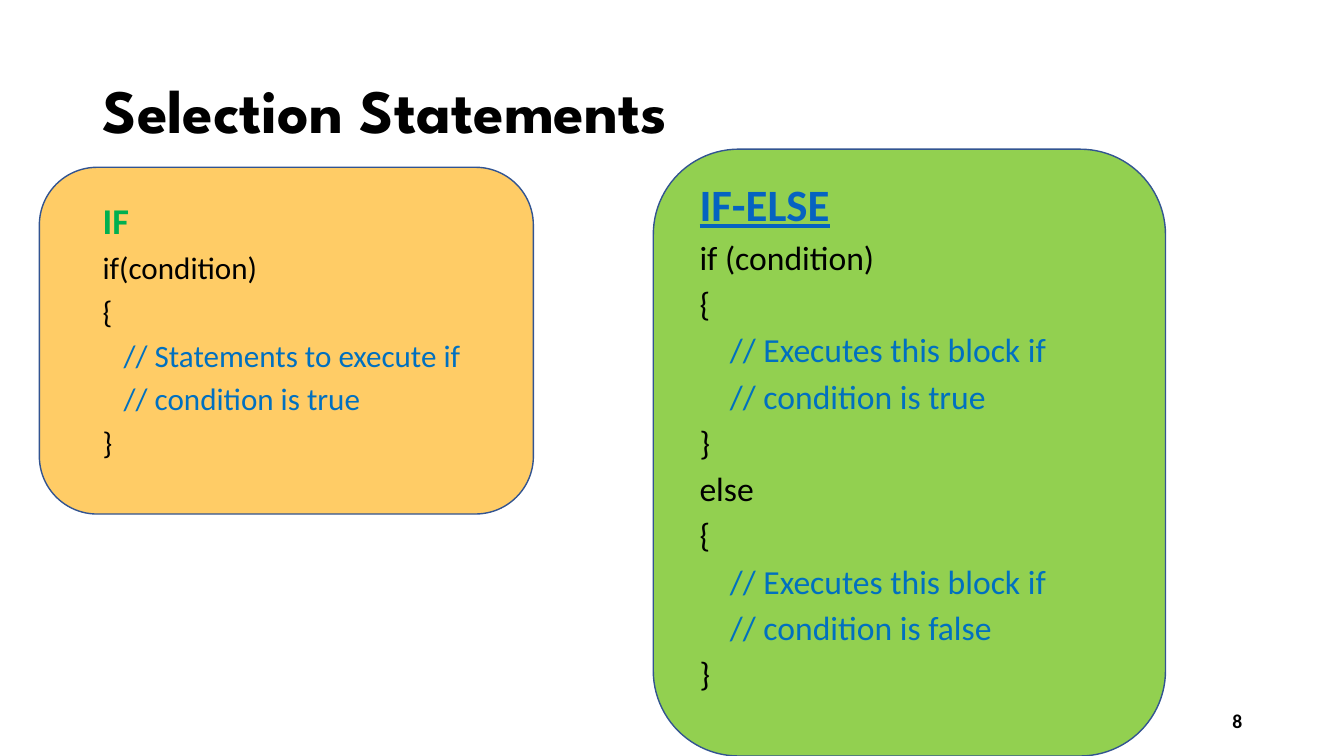
"""Build the slide that compares the if and if-else statements."""
from pptx import Presentation
from pptx.dml.color import RGBColor
from pptx.enum.shapes import MSO_SHAPE
from pptx.enum.text import MSO_ANCHOR, PP_ALIGN
from pptx.util import Inches, Pt

WIDE, HIGH = Inches(13.33), Inches(7.5)
COLORS = {
    "amber": "FFCC66",
    "lime": "92D050",
    "edge": "325491",
    "ink": "000000",
    "green": "00B050",
    "link": "0563C1",
    "note": "0070C0",
}
IF_CODE = [
    "if(condition)",
    "{",
    "   // Statements to execute if",
    "   // condition is true",
    "}",
]
ELSE_CODE = [
    "if (condition)",
    "{",
    "    // Executes this block if",
    "    // condition is true",
    "}",
    "else",
    "{",
    "    // Executes this block if",
    "    // condition is false",
    "}",
]


def color(name):
    """Return a named colour."""
    return RGBColor.from_string(COLORS[name])


def place(left, top, width, height):
    """Turn percentages of the slide into lengths."""
    return (
        int(WIDE * left / 100),
        int(HIGH * top / 100),
        int(WIDE * width / 100),
        int(HIGH * height / 100),
    )


def style(line, size, ink, bold=False, face="Calibri"):
    """Format every run of a paragraph."""
    for run in line.runs:
        run.font.name = face
        run.font.size = Pt(size)
        run.font.bold = bold
        run.font.color.rgb = color(ink)


def add_card(slide, area, fill):
    """Draw a rounded panel."""
    card = slide.shapes.add_shape(MSO_SHAPE.ROUNDED_RECTANGLE, *place(*area))
    card.shadow.inherit = False
    card.fill.solid()
    card.fill.fore_color.rgb = color(fill)
    card.line.color.rgb = color("edge")
    card.line.width = Pt(1)


def add_text(slide, area, text, anchor=MSO_ANCHOR.MIDDLE):
    """Add a wrapped text box and return its frame."""
    frame = slide.shapes.add_textbox(*place(*area)).text_frame
    frame.word_wrap = True
    frame.vertical_anchor = anchor
    frame.text = text
    return frame


def add_code(slide, area, head, code, size):
    """Add a heading followed by code with coloured remarks."""
    text, points, ink, under = head
    frame = add_text(slide, area, "\n".join([text, *code]), MSO_ANCHOR.TOP)
    first, *rest = frame.paragraphs
    first.line_spacing = 0.8
    style(first, points, ink, bold=True)
    first.runs[0].font.underline = under
    for line in rest:
        line.line_spacing = 0.8
        line.space_before = Pt(10)
        remark = line.text.lstrip().startswith("//")
        style(line, size, "note" if remark else "ink")


def main():
    """Compose and save the slide."""
    deck = Presentation()
    deck.slide_width, deck.slide_height = WIDE, HIGH
    slide = deck.slides.add_slide(deck.slide_layouts[6])

    add_card(slide, (48.61, 19.73, 38.11, 80.27), "lime")
    add_card(slide, (2.93, 22.13, 36.76, 45.87), "amber")

    title = add_text(slide, (6.9, 5.33, 86.27, 19.33), "Selection Statements")
    title.paragraphs[0].line_spacing = 0.9
    style(title.paragraphs[0], 44, "ink", True, "League Spartan")

    add_code(slide, (6.9, 26.67, 30.16, 35.33),
             ("IF", 25.9, "green", False), IF_CODE, 22.2)
    add_code(slide, (51.31, 24.13, 34.06, 68.27),
             ("IF-ELSE", 32, "link", True), ELSE_CODE, 24)

    number = add_text(slide, (70.67, 92.67, 22.51, 5.33), "8")
    number.paragraphs[0].alignment = PP_ALIGN.RIGHT
    style(number.paragraphs[0], 14, "ink", True)

    deck.save("out.pptx")


if __name__ == "__main__":
    main()
